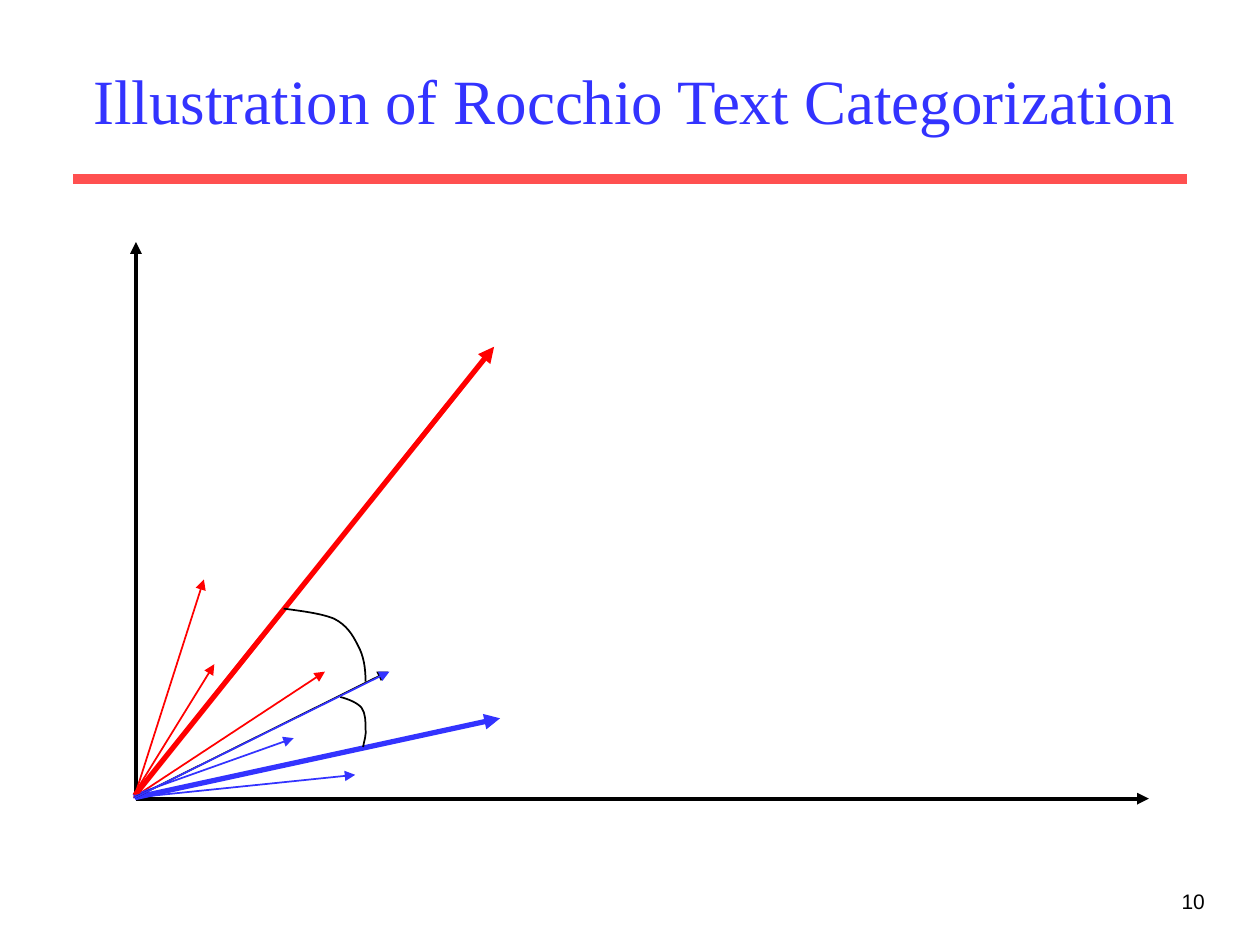
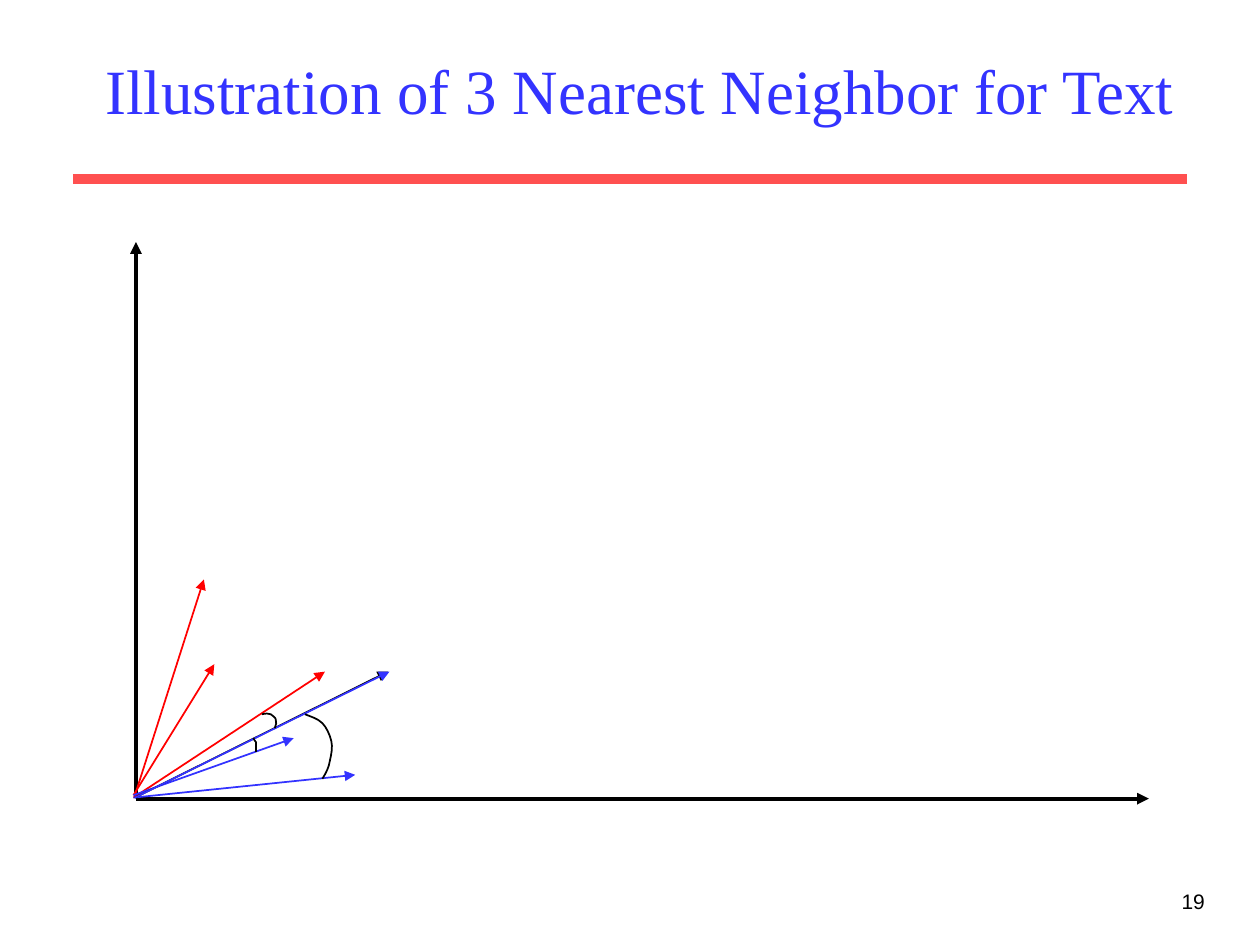
from lxml.etree import SubElement
from pptx import Presentation
from pptx.dml.color import RGBColor
from pptx.enum.shapes import MSO_CONNECTOR
from pptx.enum.text import MSO_ANCHOR, MSO_AUTO_SIZE, PP_ALIGN
from pptx.oxml.ns import qn
from pptx.util import Cm, Pt

RED, BLUE, BLACK, CORAL = "FF0000", "3333FF", "000000", "FF5050"


def tint(code):
    return RGBColor.from_string(code)


def apply(item, values):
    for name, value in values.items():
        setattr(item, name, value)


class Deck:
    head = {"name": "Times New Roman", "size": Pt(36), "bold": False}
    foot = {"name": "Arial", "size": Pt(12)}
    frame = {"word_wrap": True, "auto_size": MSO_AUTO_SIZE.NONE}

    def __init__(self):
        self.show = Presentation()
        apply(self.show, {"slide_width": Cm(25.4), "slide_height": Cm(19.05)})

    def start(self, title, box, number):
        self.slide = self.show.slides.add_slide(self.show.slide_layouts[5])
        self.leave()
        self.title(title, box)
        self.line((1.47, 3.61), (23.93, 3.61), CORAL, 6, False)
        self.number(number)

    def enter(self):
        self.place = self.slide.shapes.add_group_shape().shapes

    def leave(self):
        self.place = self.slide.shapes

    def label(self, shape, text, font, color, align, anchor):
        frame = shape.text_frame
        apply(frame, self.frame | {"text": text, "vertical_anchor": anchor})
        line = frame.paragraphs[0]
        line.alignment = align
        apply(line.runs[0].font, font)
        line.runs[0].font.color.rgb = tint(color)

    def title(self, text, box):
        shape = self.slide.shapes.title
        names = ("left", "top", "width", "height")
        apply(shape, dict(zip(names, map(Cm, box))))
        self.label(shape, text, self.head, BLUE, PP_ALIGN.CENTER, MSO_ANCHOR.MIDDLE)

    def number(self, text):
        shape = self.place.add_textbox(Cm(19.26), Cm(17.78), Cm(5.28), Cm(1.27))
        self.label(shape, text, self.foot, BLACK, PP_ALIGN.RIGHT, MSO_ANCHOR.TOP)

    def stroke(self, shape, color, width):
        shape.line.color.rgb = tint(color)
        shape.line.width = Pt(width)

    def line(self, start, end, color, width=1, arrow=True):
        shape = self.place.add_connector(MSO_CONNECTOR.STRAIGHT, *map(Cm, start + end))
        self.stroke(shape, color, width)
        form = shape._element.spPr
        if arrow:
            SubElement(form.find(qn("a:ln")), qn("a:tailEnd"), type="triangle")
        SubElement(form, qn("a:effectLst"))

    def curve(self, points):
        first, *rest = [(Cm(x), Cm(y)) for x, y in points]
        pen = self.place.build_freeform(*first)
        pen.add_line_segments(rest, close=False)
        shape = pen.convert_to_shape()
        shape.fill.background()
        shape.shadow.inherit = False
        self.stroke(shape, BLACK, 1)
        steps = list(shape._element.iter(qn("a:lnTo")))
        track = steps[0].getparent()
        for i in range(0, len(steps), 3):
            bend = SubElement(track, qn("a:cubicBezTo"))
            for step in steps[i:i + 3]:
                bend.append(step[0])
                track.remove(step)

    def axes(self):
        self.enter()
        self.line((2.74, 16.08), (2.74, 4.88), BLACK, 2.25)
        self.line((2.74, 16.1), (23.16, 16.1), BLACK, 2.25)
        self.leave()

    def samples(self):
        for start, end, color in SAMPLES:
            self.line(start, end, color)

    def query(self, end, color):
        self.line((2.72, 16.08), end, color)


SAMPLES = [
    ((2.72, 16.03), (4.11, 11.68), RED),
    ((2.69, 16.03), (4.32, 13.39), RED),
    ((2.69, 16.08), (6.55, 13.54), RED),
    ((2.69, 16.08), (7.16, 15.62), BLUE),
    ((2.69, 16.03), (5.92, 14.88), BLUE),
]
MEANS = [
    ((2.72, 16.03), (9.96, 6.99), RED),
    ((2.72, 16.08), (10.08, 14.48), BLUE),
]
UNDER, OVER = ((7.82, 13.54), BLACK), ((7.85, 13.54), BLUE)
WIDE = [
    [(5.72, 12.27), (6.1, 12.32), (6.48, 12.37), (6.73, 12.47), (6.99, 12.6),
     (7.11, 12.8), (7.21, 13), (7.34, 13.23), (7.37, 13.49), (7.37, 13.74)],
    [(6.86, 14.05), (7.04, 14.1), (7.21, 14.17), (7.29, 14.27), (7.37, 14.38),
     (7.37, 14.55), (7.37, 14.68), (7.39, 14.81), (7.34, 14.94), (7.32, 15.06)],
]
NEAR = [
    [(5.11, 14.88), (5.12, 14.91), (5.14, 14.94), (5.16, 14.96), (5.16, 15.01),
     (5.16, 15.09), (5.16, 15.16)],
    [(5.28, 14.4), (5.36, 14.38), (5.41, 14.38), (5.46, 14.4), (5.51, 14.43),
     (5.56, 14.48), (5.56, 14.5), (5.59, 14.55), (5.56, 14.61), (5.54, 14.68)],
    [(6.15, 14.4), (6.27, 14.45), (6.4, 14.48), (6.5, 14.58), (6.58, 14.66),
     (6.65, 14.81), (6.68, 14.94), (6.71, 15.06), (6.68, 15.21), (6.65, 15.34),
     (6.63, 15.47), (6.58, 15.57), (6.5, 15.7)],
]

deck = Deck()

deck.start("Illustration of Rocchio Text Categorization", (1.27, 0.64, 23.06, 2.74), "10")
deck.axes()
deck.samples()
for start, end, color in MEANS:
    deck.line(start, end, color, 3)
deck.query(*UNDER)
for points in WIDE:
    deck.curve(points)
deck.query(*OVER)

deck.start("Illustration of 3 Nearest Neighbor for Text", (1.47, 0.43, 22.86, 2.74), "19")
deck.axes()
deck.samples()
deck.query(*UNDER)
deck.query(*OVER)
deck.enter()
for points in NEAR:
    deck.curve(points)
deck.leave()

deck.show.save("out.pptx")
